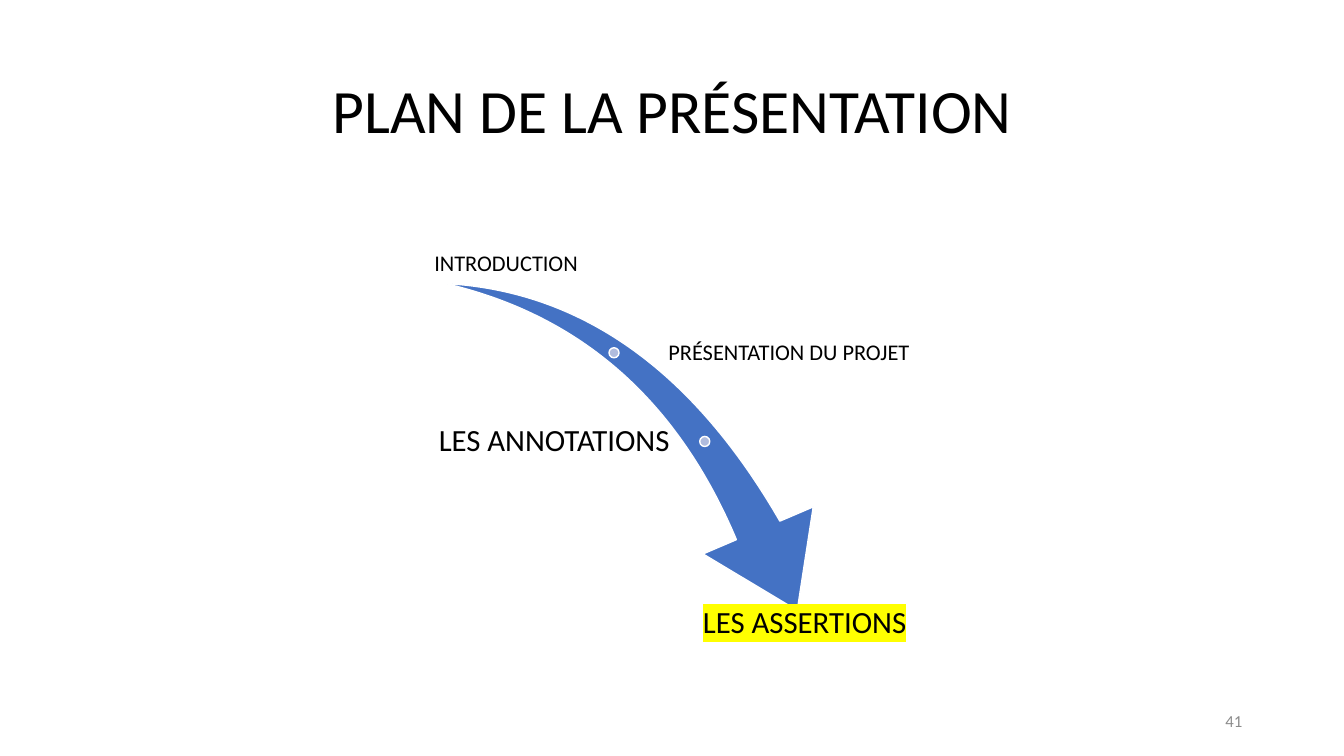
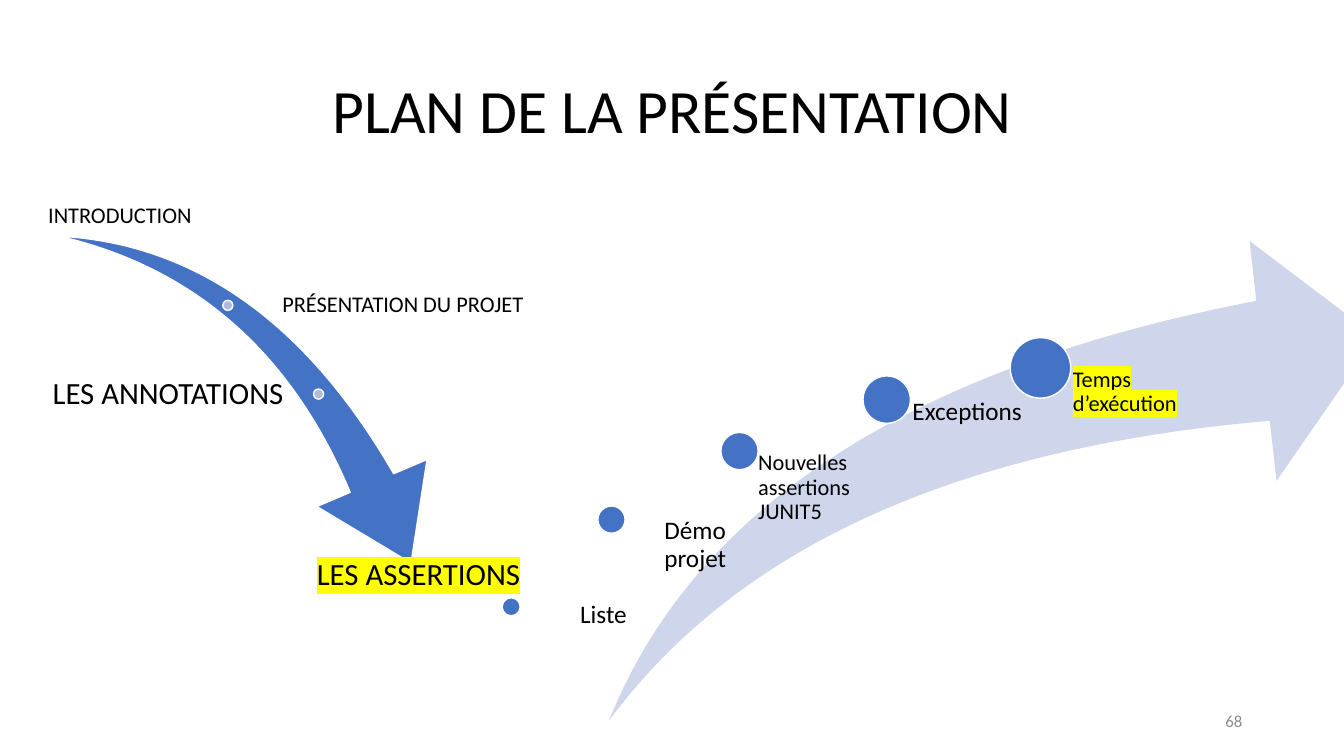
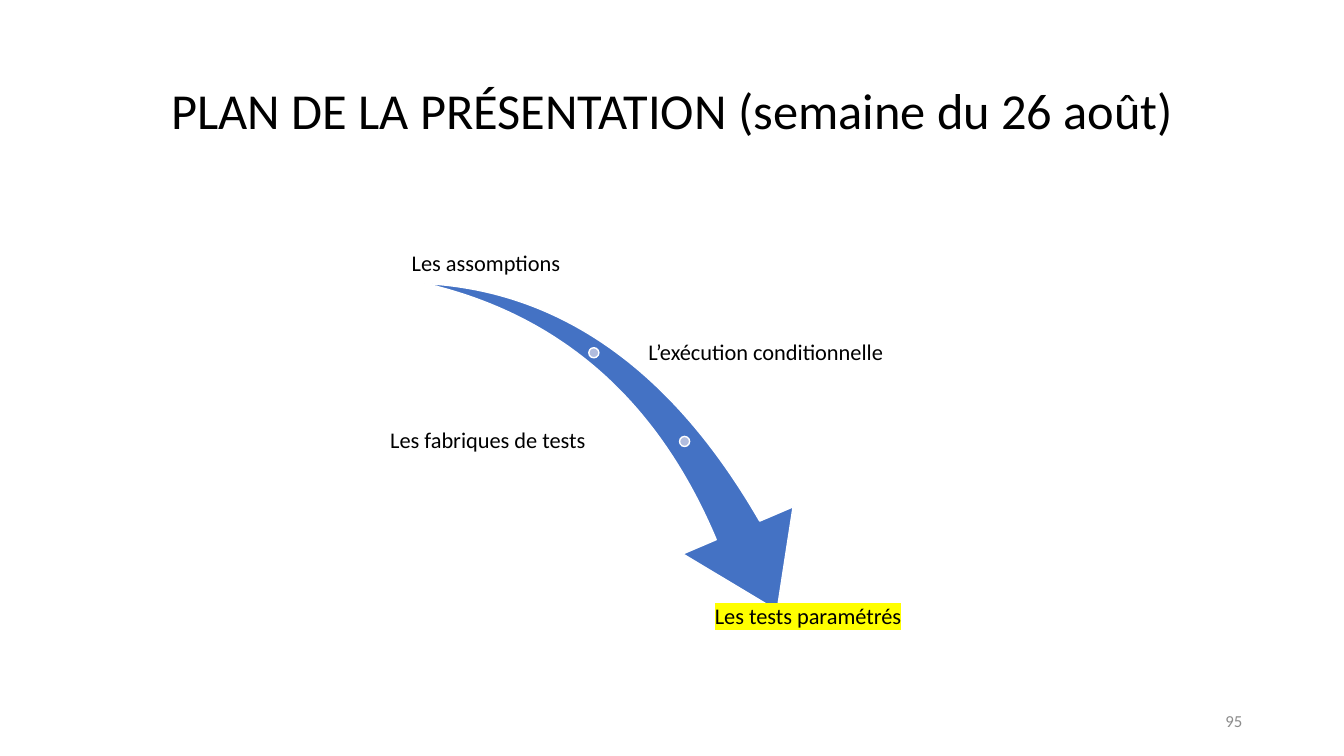
from dataclasses import dataclass

from lxml import etree
from pptx import Presentation
from pptx.dml.color import RGBColor
from pptx.enum.shapes import MSO_SHAPE
from pptx.enum.text import MSO_ANCHOR, PP_ALIGN
from pptx.oxml.ns import qn
from pptx.util import Pt

PX = 9144  # 100 px to the inch
SWOOSH, CIRCLE = MSO_SHAPE.SWOOSH_ARROW, MSO_SHAPE.OVAL
LEFT, CENTER, RIGHT = PP_ALIGN.LEFT, PP_ALIGN.CENTER, PP_ALIGN.RIGHT
TOP, MIDDLE, BOTTOM = MSO_ANCHOR.TOP, MSO_ANCHOR.MIDDLE, MSO_ANCHOR.BOTTOM


@dataclass(frozen=True)
class Theme:
    font: str = "Calibri"
    ink: str = "000000"
    muted: str = "8C8C8C"
    blue: str = "4472C4"
    dot: str = "B0BCDE"
    pale: str = "CFD5EA"
    white: str = "FFFFFF"
    marker: str = "FFFF00"
    title: int = 44
    long_title: int = 36
    large: int = 22
    medium: int = 18
    small: int = 16
    number: int = 12


theme = Theme()


def add_text(slide, text, box, size, align=LEFT, anchor=TOP, insets=(2, 2, 2, 2),
             color=theme.ink, spacing=0.9, marked=False):
    frame = slide.shapes.add_textbox(*(v * PX for v in box)).text_frame
    frame.word_wrap = True
    frame.vertical_anchor = anchor
    (frame.margin_left, frame.margin_top,
     frame.margin_right, frame.margin_bottom) = (v * PX for v in insets)
    paragraph = frame.paragraphs[0]
    paragraph.alignment = align
    paragraph.line_spacing = spacing
    run = paragraph.add_run()
    run.text = text
    paragraph.font.name = theme.font
    paragraph.font.size = Pt(size)
    paragraph.font.color.rgb = RGBColor.from_string(color)
    if marked:
        highlight = etree.SubElement(run._r.get_or_add_rPr(), qn("a:highlight"))
        etree.SubElement(highlight, qn("a:srgbClr"), val=theme.marker)


def add_form(slide, kind, box, fill, outlined=True):
    form = slide.shapes.add_shape(kind, *(v * PX for v in box))
    form.shadow.inherit = False
    form.fill.solid()
    form.fill.fore_color.rgb = RGBColor.from_string(fill)
    if outlined:
        form.line.color.rgb = RGBColor.from_string(theme.white)
        form.line.width = Pt(1)
    else:
        form.line.fill.background()
    return form


# Content: title, its size, page number, corner of the plan, then the steps
# (text, size, alignment) and the box of the last step within the plan
course_steps = [
    ("INTRODUCTION", theme.small, CENTER),
    ("PRÉSENTATION DU PROJET", theme.small, LEFT),
    ("LES ANNOTATIONS", theme.large, RIGHT),
    ("LES ASSERTIONS", theme.large, CENTER),
]
week_steps = [
    ("Les assomptions", theme.small, CENTER),
    ("L’exécution conditionnelle", theme.small, LEFT),
    ("Les fabriques de tests", theme.small, LEFT),
    ("Les tests paramétrés", theme.small, CENTER),
]
course_end, week_end = (262, 399, 262, 76), (246, 398, 341, 76)
title = "PLAN DE LA PRÉSENTATION"
plans = [
    (title, theme.title, "41", (405, 200), course_steps, course_end),
    (title, theme.title, "68", (22, 153), course_steps, course_end),
    (title + " (semaine du 26 août)", theme.long_title, "95", (385, 200),
     week_steps, week_end),
]
step_boxes = [(0, 0, 194, 76), (256, 112, 267, 76), (0, 200, 262, 76)]
step_anchors = [BOTTOM, MIDDLE, MIDDLE, TOP]

prs = Presentation()
prs.slide_width, prs.slide_height = 1333 * PX, 750 * PX
blank = prs.slide_layouts[6]

for heading, heading_size, page, (plan_x, plan_y), steps, end_box in plans:
    slide = prs.slides.add_slide(blank)
    add_text(slide, heading, (92, 40, 1150, 145), heading_size, CENTER, MIDDLE,
             (10, 5, 10, 5))

    # Downward arrow with its two dots
    descent = add_form(slide, SWOOSH, (plan_x + 27, plan_y + 94, 411, 286), theme.blue)
    descent.rotation = 73.3
    descent.adjustments[0], descent.adjustments[1] = 0.163, 0.314
    for dot_x, dot_y in ((199, 145), (289, 233)):
        add_form(slide, CIRCLE, (plan_x + dot_x, plan_y + dot_y, 10, 10), theme.dot)

    # Steps, the last one marked
    for (step, size, align), (x, y, w, h), anchor in zip(
            steps, step_boxes + [end_box], step_anchors):
        inset = 3 if size == theme.large else 2
        add_text(slide, step, (plan_x + x, plan_y + y, w, h), size, align, anchor,
                 (inset,) * 4, marked=step == steps[-1][0])

    # Page number
    add_text(slide, page, (942, 695, 300, 40), theme.number, RIGHT, MIDDLE,
             (10, 5, 10, 5), theme.muted, spacing=1.0)

# Rising arrow of the assertions on the second slide
assertions = prs.slides[1]
rise = add_form(assertions, SWOOSH, (604, 239, 761, 476), theme.pale, outlined=False)
rise.adjustments[0], rise.adjustments[1] = 0.25, 0.25

# Topic, circle (x, y, diameter), label shift from its centre, width, inset, size
topics = [
    ("Liste", (498, 593, 18), (37, -5), 100, 9, theme.medium),
    ("Démo projet", (593, 502, 27), (44, -1), 126, 9, theme.medium),
    ("Nouvelles assertions JUNIT5", (715, 429, 37), (0, 1), 147, 19, theme.small),
    ("Exceptions", (856, 373, 47), (1, 0), 152, 25, theme.medium),
    ("Temps d’exécution", (1002, 335, 60), (0, 0), 152, 32, theme.small),
]
for topic, (x, y, diameter), (shift_x, shift_y), width, inset, size in topics:
    add_form(assertions, CIRCLE, (x, y, diameter, diameter), theme.blue)
    label_x, label_y = x + diameter // 2 + shift_x, y + diameter // 2 + shift_y
    add_text(assertions, topic, (label_x, label_y, width, 715 - label_y), size,
             CENTER if topic == topics[0][0] else LEFT, insets=(inset, 0, 0, 0),
             marked=topic == topics[-1][0])

prs.save("out.pptx")
